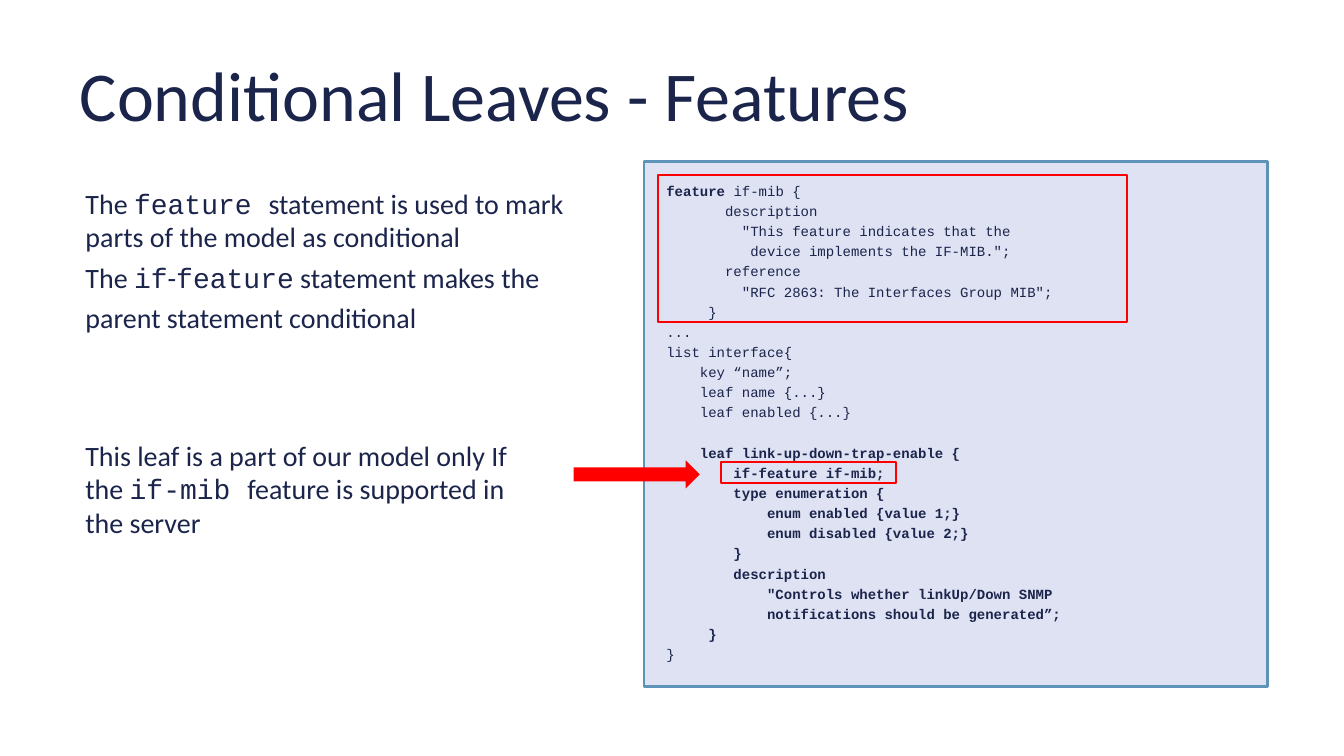
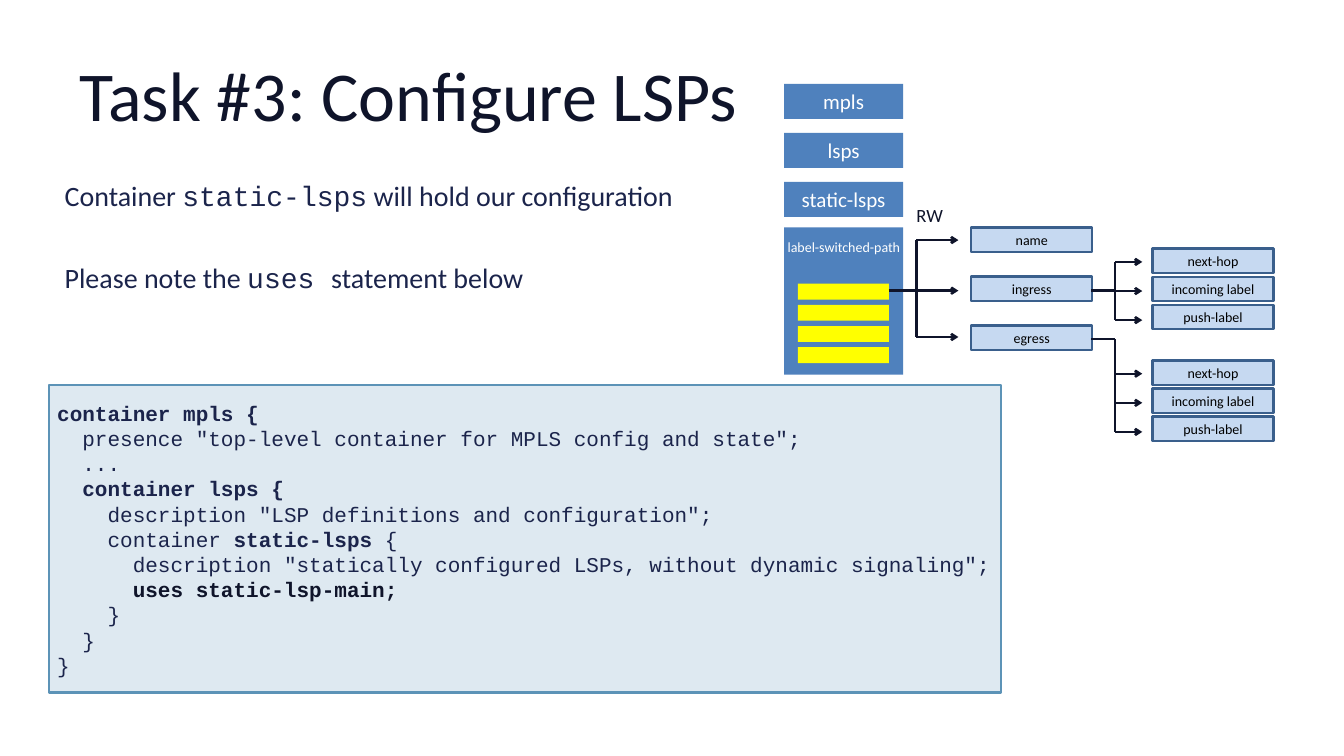
from lxml.etree import SubElement
from pptx import Presentation
from pptx.dml.color import RGBColor
from pptx.enum.shapes import MSO_CONNECTOR as Connector, MSO_SHAPE as Shape
from pptx.enum.text import MSO_ANCHOR as Anchor, MSO_AUTO_SIZE as AutoSize, PP_ALIGN as Align
from pptx.oxml.ns import qn
from pptx.util import Cm, Pt

NAVY = RGBColor(0x1B, 0x24, 0x4B)
INK = RGBColor(0x0F, 0x14, 0x2A)
BLACK = RGBColor(0, 0, 0)
WHITE = RGBColor(0xFF, 0xFF, 0xFF)
RED = RGBColor(0xFF, 0, 0)
YELLOW = RGBColor(0xFF, 0xFF, 0)
BLUE = RGBColor(0x4F, 0x81, 0xBD)
PALE_BLUE = RGBColor(0xC6, 0xD9, 0xF1)
NODE_EDGE = RGBColor(0x3A, 0x5F, 0x8C)
LILAC = RGBColor(0xDE, 0xE2, 0xF3)
MIST = RGBColor(0xDE, 0xE9, 0xF1)
PANEL_EDGE = RGBColor(0x5C, 0x93, 0xB7)

SANS, MONO = "Calibri", "Courier New"
NODE_WIDTH, NODE_HEIGHT = 3.66, 0.74

FEATURE_CODE = """\
`feature `if-mib {
       description
         "This feature indicates that the
          device implements the IF-MIB.";
       reference
         "RFC 2863: The Interfaces Group MIB";
     }
...
list interface{
    key “name”;
    leaf name {...}
    leaf enabled {...}

`    leaf link-up-down-trap-enable {
`        if-feature if-mib;
`        type enumeration {
`            enum enabled {value 1;}
`            enum disabled {value 2;}
`        }
`        description
`            "Controls whether linkUp/Down SNMP
`            notifications should be generated”;
`     }
}"""

LSP_CODE = """\
`container mpls {
  presence "top-level container for MPLS config and state";
  ...
  `container lsps {
    description "LSP definitions and configuration";
    container `static-lsps `{
      description "statically configured LSPs, without dynamic signaling";
      `uses static-lsp-main;
    }
  }
}"""


class Painter:
    """Holds the deck, its style and the current slide; lengths are in cm."""

    def __init__(self):
        self.deck = Presentation()
        self.deck.slide_width, self.deck.slide_height = Cm(40.64), Cm(22.86)
        self.page = None

    def start_page(self, title, color):
        self.page = self.deck.slides.add_slide(self.deck.slide_layouts[1])
        box = self.page.shapes.title
        self.place(box, 2.03, 0.91, 36.58, 3.81)
        frame = box.text_frame
        frame.margin_left = frame.margin_right = Cm(0.38)
        frame.margin_top = frame.margin_bottom = Cm(0.2)
        frame.vertical_anchor = Anchor.MIDDLE
        self.fill_text(frame, [title], 60, color)

    @staticmethod
    def place(box, left, top, width, height):
        box.left, box.top, box.width, box.height = map(Cm, (left, top, width, height))

    @staticmethod
    def fill_text(frame, lines, size, color, code=False, align=Align.LEFT, spacing=1.0):
        """Backticks switch to bold in code and to the fixed-width font in prose."""
        frame.auto_size = AutoSize.NONE
        for index, line in enumerate(lines):
            para = frame.add_paragraph() if index else frame.paragraphs[0]
            para.alignment, para.line_spacing = align, spacing
            para.space_before = Pt(0)
            for number, text in enumerate(line.split("`")):
                if not text:
                    continue
                marked = number % 2 == 1
                span = para.add_run()
                span.text = text
                font = span.font
                font.name = MONO if code or marked else SANS
                font.size, font.bold = Pt(size), code and marked
                font.color.rgb = color
            if not line:
                SubElement(para._p, qn("a:endParaRPr"), sz=str(size * 100))

    def body(self, bounds, lines, gap=0, spacings=(1.2, 1.2)):
        box = self.page.placeholders[1]
        self.place(box, *bounds)
        self.fill_text(box.text_frame, lines, 24, NAVY)
        for index, para in enumerate(box.text_frame.paragraphs):
            para.line_spacing = spacings[index]
            para.space_before = Pt(gap if index else 0)
            properties = para._p.get_or_add_pPr()
            properties.set("marL", "0")
            properties.set("indent", "0")
            SubElement(properties, qn("a:buNone"))

    def text(self, bounds, lines, size, color, wrap=True, **style):
        box = self.page.shapes.add_textbox(*map(Cm, bounds))
        box.text_frame.word_wrap = wrap
        self.fill_text(box.text_frame, lines, size, color, **style)

    def block(self, bounds, fill=None, line=None, width=2.25, kind=Shape.RECTANGLE):
        shape = self.page.shapes.add_shape(kind, *map(Cm, bounds))
        shape.shadow.inherit = False
        if fill is None:
            shape.fill.background()
        else:
            shape.fill.solid()
            shape.fill.fore_color.rgb = fill
        if line is None:
            shape.line.fill.background()
        else:
            shape.line.color.rgb = line
            shape.line.width = Pt(width)
        shape.text_frame.word_wrap = True
        shape.text_frame.vertical_anchor = Anchor.MIDDLE
        return shape

    def node(self, left, top, label):
        shape = self.block((left, top, NODE_WIDTH, NODE_HEIGHT), PALE_BLUE, NODE_EDGE, 2)
        self.fill_text(shape.text_frame, [label], 12, BLACK, align=Align.CENTER)

    def line(self, x1, y1, x2, y2, arrow=False):
        link = self.page.shapes.add_connector(Connector.STRAIGHT, *map(Cm, (x1, y1, x2, y2)))
        link.line.color.rgb = INK
        link.line.width = Pt(2)
        properties = link._element.spPr
        if arrow:
            SubElement(properties.find(qn("a:ln")), qn("a:tailEnd"), type="arrow")
        SubElement(properties, qn("a:effectLst"))

    def branch(self, start, stem, trunk, end, rows):
        """A stem that meets a vertical trunk, with one arrow for each row."""
        self.line(start, stem, trunk, stem)
        self.line(trunk, min(stem, *rows), trunk, max(rows))
        for row in rows:
            self.line(trunk, row, end, row, arrow=True)


def features_page(painter):
    painter.start_page("Conditional Leaves - Features", NAVY)
    painter.body((2.33, 5.5, 15.45, 6.3), [
        "The `feature `statement is used to mark parts of the model as conditional",
        "The `if`-`feature` statement makes the parent statement conditional",
    ], spacings=(1.0, 1.2))
    painter.text((2.33, 13.13, 14.18, 3.33), [
        "This leaf is a part of our model only If the `if-mib `feature is supported in the server",
    ], 24, NAVY)

    # Code panel
    painter.block((19.48, 4.88, 18.85, 15.88), LILAC, PANEL_EDGE)
    painter.text((19.9, 5.29, 18.2, 15), FEATURE_CODE.split("\n"), 12, NAVY,
                 code=True, spacing=1.2)

    # Highlights
    painter.block((19.9, 5.29, 14.18, 4.45), line=RED)
    painter.block((21.8, 13.97, 5.29, 0.64), line=RED)
    painter.block((17.35, 13.92, 3.81, 0.85), RED, kind=Shape.RIGHT_ARROW)


def task_page(painter):
    painter.start_page("Task #3: Configure LSPs", INK)
    painter.body((1.7, 5.08, 20.12, 5.1), [
        "Container `static-lsps` will hold our configuration",
        "Please note the `uses `statement below",
    ], gap=35)

    # Code panel, with the uses line in darker ink
    panel = painter.block((1.48, 11.64, 28.79, 9.31), MIST, PANEL_EDGE)
    painter.fill_text(panel.text_frame, LSP_CODE.split("\n"), 18, NAVY, code=True)
    for para in panel.text_frame.paragraphs:
        if "uses" in para.text:
            for span in para.runs:
                span.font.color.rgb = INK

    # Container stack
    for index, label in enumerate(["mpls", "lsps", "static-lsps"]):
        shape = painter.block((23.71, 2.54 + 1.48 * index, 3.6, 1.06), BLUE)
        painter.fill_text(shape.text_frame, [label], 18, WHITE, align=Align.CENTER)
    painter.block((23.71, 6.88, 3.6, 4.45), BLUE)
    painter.text((23.5, 7.09, 4.04, 0.77), ["label-switched-path"], 12, WHITE,
                 wrap=False, align=Align.CENTER)
    for index in range(4):
        painter.block((24.13, 8.58 + 0.64 * index, 2.75, 0.48), YELLOW)

    # Path tree
    painter.text((27.46, 6.05, 1.32, 0.94), ["RW"], 16, INK, wrap=False)
    for index, label in enumerate(["name", "ingress", "egress"]):
        painter.node(29.37, 6.88 + 1.48 * index, label)
    painter.branch(26.87, 8.79, 27.71, 28.98, (7.26, 8.79, 10.19))
    for top, stem in ((7.52, 8.79), (10.9, 10.26)):
        for index, label in enumerate(["next-hop", "incoming label", "push-label"]):
            painter.node(34.85, top + 0.85 * index, label)
        rows = [top + 0.4 + 0.88 * index for index in range(3)]
        painter.branch(32.99, stem, 33.72, 34.54, rows)


def main():
    painter = Painter()
    features_page(painter)
    task_page(painter)
    painter.deck.save("out.pptx")


if __name__ == "__main__":
    main()
